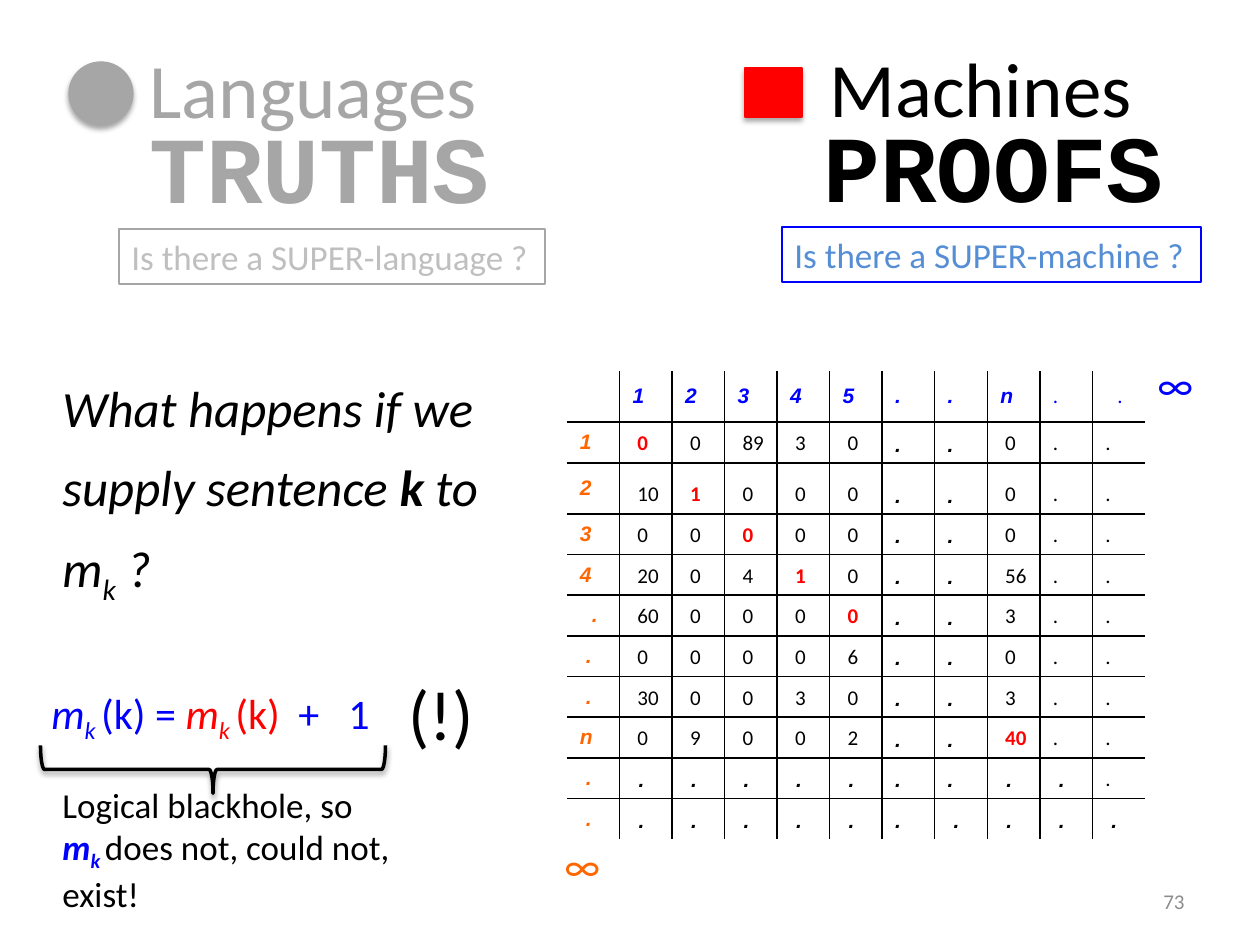
from lxml.etree import SubElement
from pptx import Presentation
from pptx.dml.color import RGBColor
from pptx.enum.shapes import MSO_SHAPE
from pptx.enum.text import MSO_ANCHOR, MSO_AUTO_SIZE, PP_ALIGN
from pptx.oxml.ns import qn
from pptx.util import Emu, Pt

BLUE, RED, ORANGE, BLACK, GRAY, WHITE = (
    "0000FF", "FF0000", "FF6600", "000000", "A6A6A6", "FFFFFF")
PX = 914400 / 126

# Each leading space of an entry stands for one small step of indent.
GRID = [
    "|1|2|3|4|5|.|.|n|.|  .",
    "1|0|0|89|3|0|.|.|0|.|.",
    "2|10|1|0|0|0|.|.|0|.|.",
    "3|0|0|0|0|0|.|.|0|.|.",
    "4|20|0|4|1|0|.|.|56|.|.",
    "  .|60|0|0|0|0|.|.|3|.|.",
    " .|0|0|0|0|6|.|.|0|.|.",
    " .|30|0|0|3|0|.|.|3|.|.",
    "n|0|9|0|0|2|.|.|40|.|.",
    " .| .| .| .| .| .|.|.| .| .|.",
    " .| .| .| .| .| .|.| .| .| .| .",
]
TABLE_BOX = (567, 371, 578, 458)
TALL_ROW, TALL_HEIGHT = 2, 51
CELL_MARGIN, INDENT_STEP, DIGIT_INDENT = 13, 6, 5

ITALIC = {"italic": True}
SUB = {"italic": True, "base": -25}

# box, runs (text, colour, format), size, further settings
TEXTS = [
    ((1145, 352, 86, 63), [("∞", BLUE, {})], 24, {}),
    ((552, 833, 86, 63), [("∞", ORANGE, {})], 24, {}),
    ((39, 664, 357, 77), [
        ("m", BLUE, ITALIC), ("k ", BLUE, SUB), ("(k) = ", BLUE, {}),
        ("m", RED, ITALIC), ("k ", RED, SUB), ("(k)", RED, {}),
        ("\t+\t1", BLUE, {})], 24,
     {"wrap": False, "spacing": 1.3, "tabs": (247, 297)}),
    ((50, 352, 462, 249), [
        ("What happens if we supply sentence ", BLACK, ITALIC),
        ("k", BLACK, {"italic": True, "bold": True}),
        (" to m", BLACK, ITALIC), ("k", BLACK, SUB),
        (" ?", BLACK, ITALIC)], 29, {"spacing": 1.3}),
    ((396, 664, 91, 97), [("(!)", BLACK, {})], 40, {"wrap": False}),
    ((50, 777, 358, 140), [
        ("Logical blackhole, so ", BLACK, {}),
        ("m", BLUE, {"italic": True, "bold": True}),
        ("k ", BLUE, {"italic": True, "bold": True, "base": -25}),
        ("does not, could not, exist!", BLACK, {})], 20, {}),
    ((903, 876, 294, 50), [("73", "8C8C8C", {})], 12,
     {"align": PP_ALIGN.RIGHT, "anchor": MSO_ANCHOR.MIDDLE, "grow": False}),
    ((782, 227, 419, 55), [("Is there a SUPER-machine ?", "558ED5", {})], 20,
     {"wrap": False, "line": BLUE}),
    ((119, 229, 426, 55), [("Is there a SUPER-language ?", "BFBFBF", {})], 20,
     {"wrap": False, "line": GRAY}),
    ((137, 35, 357, 106), [("Languages", GRAY, {})], 44, {"wrap": False}),
    ((817, 34, 330, 106), [("Machines", BLACK, {})], 44, {"wrap": False}),
    ((137, 103, 369, 127), [("TRUTHS", GRAY, {"bold": True})], 54,
     {"wrap": False, "font": "Courier New"}),
    ((811, 102, 369, 127), [("PROOFS", BLACK, {"bold": True})], 54,
     {"wrap": False, "font": "Courier New"}),
]

# preset, box, fill, line colour, line width, rotation, shadow (opacity, distance)
SHAPES = [
    (MSO_SHAPE.OVAL, (69, 62, 64, 63), GRAY, GRAY, 0.75, 0, (35, 1.8)),
    (MSO_SHAPE.RECTANGLE, (745, 68, 57, 49), RED, RED, 0.75, 0, (35, 1.8)),
    (MSO_SHAPE.RIGHT_BRACE, (189, 597, 48, 345), None, BLACK, 2, 90, (38, 1.6)),
]


def emu(pixels):
    return Emu(round(pixels * PX))


def place(box):
    return [emu(value) for value in box]


def color(value):
    return RGBColor.from_string(value)


def add_run(paragraph, text, size, ink, font="Calibri", bold=False,
            italic=False, base=0):
    run = paragraph.add_run()
    run.text = text
    run.font.name, run.font.size = font, Pt(size)
    run.font.bold, run.font.italic = bold, italic
    run.font.color.rgb = color(ink)
    if base:
        run.font._element.set("baseline", str(base * 1000))


def add_text(slide, box, runs, size, font="Calibri", wrap=True, spacing=None,
             align=PP_ALIGN.LEFT, anchor=MSO_ANCHOR.TOP, grow=True, line=None,
             tabs=()):
    shape = slide.shapes.add_textbox(*place(box))
    frame = shape.text_frame
    frame.word_wrap = wrap
    frame.vertical_anchor = anchor
    if grow:
        frame.auto_size = MSO_AUTO_SIZE.SHAPE_TO_FIT_TEXT
    if line:
        shape.line.color.rgb = color(line)
        shape.line.width = Pt(0.75)
    paragraph = frame.paragraphs[0]
    paragraph.alignment = align
    if spacing:
        paragraph.line_spacing = spacing
    if tabs:
        stops = SubElement(paragraph._p.get_or_add_pPr(), qn("a:tabLst"))
        for stop in tabs:
            SubElement(stops, qn("a:tab"), pos=str(emu(stop)), algn="l")
    for text, ink, style in runs:
        add_run(paragraph, text, size, ink, font, **style)


def add_shadow(shape, opacity, distance):
    shape.shadow.inherit = False
    effects = shape._element.spPr.find(qn("a:effectLst"))
    shadow = SubElement(effects, qn("a:outerShdw"), blurRad=str(Pt(3.1)),
                        dist=str(Pt(distance)), dir="5400000", rotWithShape="0")
    tint = SubElement(shadow, qn("a:srgbClr"), val=BLACK)
    SubElement(tint, qn("a:alpha"), val=str(opacity * 1000))


def add_shape(slide, preset, box, fill, line, width, rotation, shadow):
    shape = slide.shapes.add_shape(preset, *place(box))
    shape.rotation = rotation
    if fill:
        shape.fill.solid()
        shape.fill.fore_color.rgb = color(fill)
    else:
        shape.fill.background()
    shape.line.color.rgb = color(line)
    shape.line.width = Pt(width)
    add_shadow(shape, *shadow)


def set_borders(cell, row, column, last):
    """Rule the inner sides of the grid and leave its outer edge open."""
    inner = {"L": column > 0, "R": column < last, "T": row > 0, "B": row < last}
    properties = cell._tc.get_or_add_tcPr()
    for position, (side, ruled) in enumerate(inner.items()):
        line = SubElement(properties, qn(f"a:ln{side}"), w=str(Pt(1)))
        properties.insert(position, line)
        if ruled:
            fill = SubElement(line, qn("a:solidFill"))
            SubElement(fill, qn("a:srgbClr"), val=BLACK)
        else:
            SubElement(line, qn("a:noFill"))


def cell_style(text, row, column, last):
    if row == 0:
        ink, strong = BLUE, column < last - 1
    elif column == 0:
        ink, strong = ORANGE, True
    elif text.isdigit():
        on_diagonal = row == column
        return {"ink": RED if on_diagonal else BLACK, "bold": on_diagonal}
    else:
        ink = BLACK
        strong = column in (6, 7) or row == last or (row == last - 1 and column < last)
    return {"ink": ink, "bold": strong, "italic": strong,
            "font": "Arial" if strong else "Calibri"}


def add_grid(slide):
    count, last = len(GRID), len(GRID) - 1
    table = slide.shapes.add_table(count, count, *place(TABLE_BOX)).table
    table.first_row = table.horz_banding = False
    row_height = (TABLE_BOX[3] - TALL_HEIGHT) / last
    for row, entries in enumerate(GRID):
        table.rows[row].height = emu(TALL_HEIGHT if row == TALL_ROW else row_height)
        table.columns[row].width = emu(TABLE_BOX[2] / count)
        for column, entry in enumerate(entries.split("|")):
            cell, text = table.cell(row, column), entry.strip()
            header = row == 0 or column == 0
            indent = INDENT_STEP * (len(entry) - len(text))
            if text.isdigit() and not header:
                indent = DIGIT_INDENT
            cell.margin_left = emu(CELL_MARGIN + indent)
            cell.margin_right = 0
            cell.vertical_anchor = MSO_ANCHOR.MIDDLE if header else MSO_ANCHOR.BOTTOM
            cell.fill.solid()
            cell.fill.fore_color.rgb = color(WHITE)
            set_borders(cell, row, column, last)
            if text:
                add_run(cell.text_frame.paragraphs[0], text, 12,
                        **cell_style(text, row, column, last))


def main():
    presentation = Presentation()
    presentation.slide_width, presentation.slide_height = emu(1260), emu(945)
    slide = presentation.slides.add_slide(presentation.slide_layouts[6])
    add_grid(slide)
    for text in TEXTS:
        box, runs, size, settings = text
        add_text(slide, box, runs, size, **settings)
    for shape in SHAPES:
        add_shape(slide, *shape)
    presentation.save("out.pptx")


if __name__ == "__main__":
    main()
